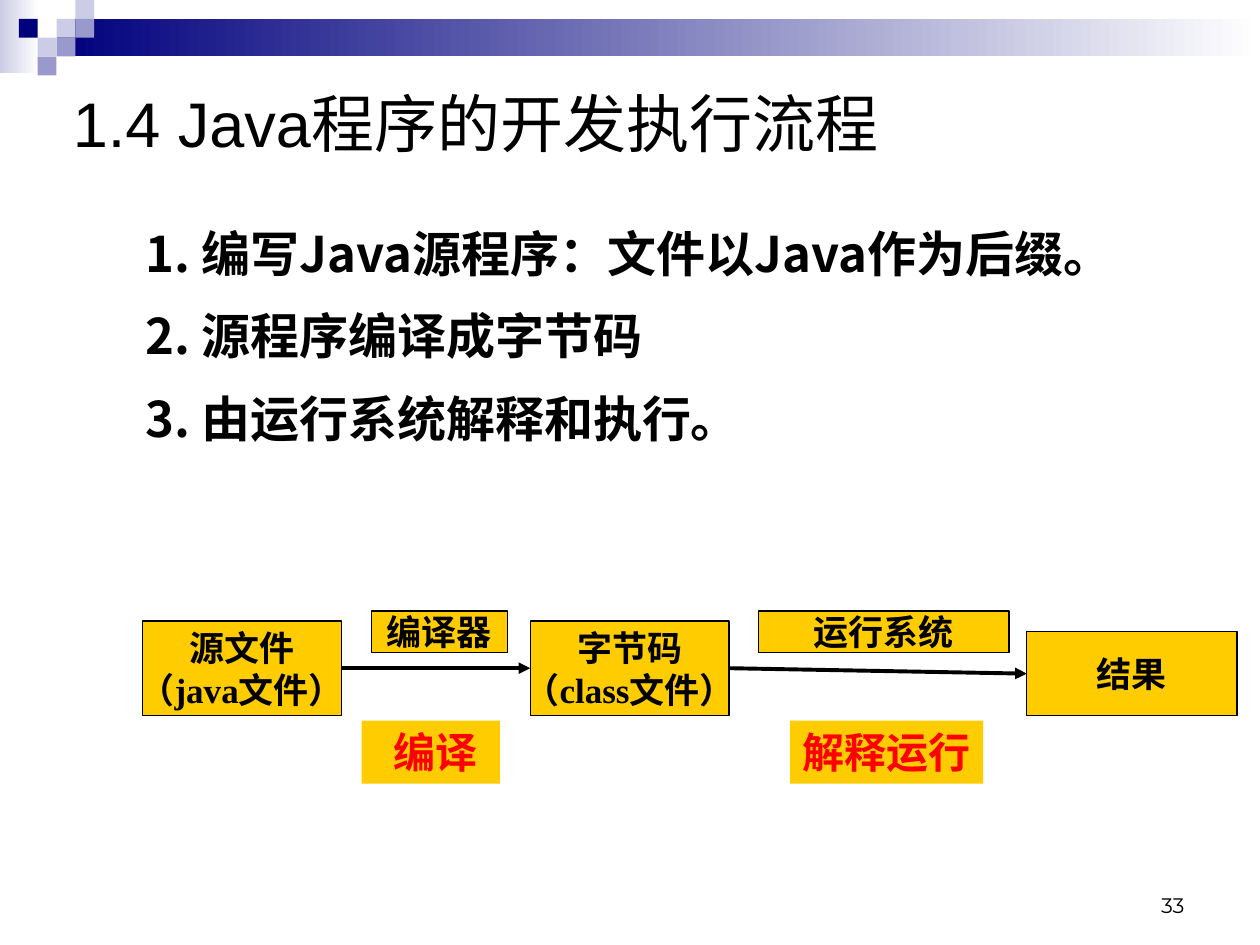
from lxml.etree import SubElement
from pptx import Presentation
from pptx.dml.color import RGBColor
from pptx.enum.shapes import MSO_CONNECTOR, MSO_SHAPE
from pptx.enum.text import MSO_ANCHOR, PP_ALIGN
from pptx.oxml.ns import qn
from pptx.util import Cm, Pt

COLORS = {
    "navy": "00007D", "violet": "9999CC", "lavender": "CCCCE6", "white": "FFFFFF",
    "gold": "FFCC00", "black": "000000", "red": "FF0000",
}
SERIF, CJK = "Times New Roman", "Noto Sans CJK SC"
TILE = 0.38  # side of one square in the header mosaic, cm
RIGHT_SIDE, LEFT_SIDE = 3, 1


def rgb(name):
    return RGBColor.from_string(COLORS[name])


def add_block(slide, box, color, fade_to=None, outlined=False):
    """Rectangle in one colour, or fading from left to right."""
    block = slide.shapes.add_shape(MSO_SHAPE.RECTANGLE, *map(Cm, box))
    block.shadow.inherit = False
    if fade_to:
        block.fill.gradient()
        block.fill.gradient_angle = 0
        for stop, shade in zip(block.fill.gradient_stops, (color, fade_to)):
            stop.color.rgb = rgb(shade)
    else:
        block.fill.solid()
        block.fill.fore_color.rgb = rgb(color)
    if outlined:
        block.line.color.rgb = rgb("black")
        block.line.width = Pt(0.75)
    else:
        block.line.fill.background()
    return block


def write(shape, lines, size, font=SERIF, color="black", bold=False, wrap=True,
          align=PP_ALIGN.LEFT, anchor=MSO_ANCHOR.TOP, indent=0, spacing=None):
    """Fill a shape; each line is a list of (text, font) runs or a plain string."""
    frame = shape.text_frame
    frame.word_wrap = wrap
    frame.vertical_anchor = anchor
    for number, line in enumerate(lines):
        paragraph = frame.paragraphs[0] if number == 0 else frame.add_paragraph()
        paragraph.alignment = align
        if spacing:
            paragraph.line_spacing = spacing
        if indent:
            properties = paragraph._p.get_or_add_pPr()
            properties.set("marL", "0")
            properties.set("indent", str(Cm(indent)))
        for text, face in [(line, font)] if isinstance(line, str) else line:
            run = paragraph.add_run()
            run.text = text
            run.font.name = face
            run.font.size = Pt(size)
            run.font.bold = bold
            run.font.color.rgb = rgb(color)
            SubElement(run._r.get_or_add_rPr(), qn("a:ea"), typeface=CJK)


def add_text(slide, box, lines, size, **style):
    write(slide.shapes.add_textbox(*map(Cm, box)), lines, size, **style)


def add_stage(slide, box, lines, font=SERIF):
    """Outlined box of the flow with centred text."""
    stage = add_block(slide, box, "gold", outlined=True)
    write(stage, lines, 20, font=font, bold=True, wrap=False,
          align=PP_ALIGN.CENTER, anchor=MSO_ANCHOR.MIDDLE)
    return stage


def add_action(slide, box, text, indent=0):
    """Red label under an arrow."""
    label = add_block(slide, box, "gold")
    write(label, [text], 24, color="red", bold=True, wrap=False, indent=indent)


def add_arrow(slide, source, target):
    arrow = slide.shapes.add_connector(MSO_CONNECTOR.STRAIGHT, 0, 0, 0, 0)
    arrow.begin_connect(source, RIGHT_SIDE)
    arrow.end_connect(target, LEFT_SIDE)
    arrow.line.color.rgb = rgb("black")
    arrow.line.width = Pt(2.25)
    SubElement(arrow.line._get_or_add_ln(), qn("a:tailEnd"), type="triangle")
    SubElement(arrow._element.spPr, qn("a:effectLst"))


def add_header(slide):
    add_block(slide, (0, 0, 0.79, 1.47), "lavender", fade_to="white")
    add_block(slide, (3 * TILE, TILE, 24.26, 2 * TILE), "navy", fade_to="white")
    # Mosaic squares as (column, row, colour)
    for column, row, color in [
        (3, 1, "lavender"), (4, 0, "lavender"), (4, 1, "violet"), (2, 2, "lavender"),
        (1, 1, "navy"), (3, 2, "violet"), (2, 3, "violet"),
    ]:
        add_block(slide, (column * TILE, row * TILE, TILE, TILE), color)


def add_flow(slide):
    # Stages from source file to result
    source = add_stage(slide, (2.87, 12.52, 4.01, 1.9), ["源文件", "（java文件）"])
    bytecode = add_stage(
        slide, (10.69, 12.52, 4.01, 1.9),
        ["字节码", [("（", "Cabin"), ("class", SERIF), ("文件）", "Cabin")]], font="Cabin")
    result = add_stage(slide, (20.7, 12.73, 4.24, 1.7), ["结果"])
    add_arrow(slide, source, bytecode)
    add_arrow(slide, bytecode, result)

    # Tools above the arrows, actions below
    add_stage(slide, (7.49, 12.32, 2.74, 0.84), ["编译器"])
    add_stage(slide, (15.29, 12.32, 5.05, 0.84), ["运行系统"])
    add_action(slide, (7.29, 14.53, 2.79, 1.27), "编译", indent=0.4)
    add_action(slide, (15.93, 14.53, 3.89, 1.27), "解释运行")


def main():
    deck = Presentation()
    deck.slide_width, deck.slide_height = Cm(25.4), Cm(19.05)
    slide = deck.slides.add_slide(deck.slide_layouts[6])

    add_header(slide)
    # Title, steps and page number
    add_text(slide, (1.22, 1.57, 21.59, 1.78), ["1.4 Java程序的开发执行流程"], 36,
             font="Arial", anchor=MSO_ANCHOR.MIDDLE)
    steps = [
        "1. 编写Java源程序：文件以Java作为后缀。",
        "2. 源程序编译成字节码",
        "3. 由运行系统解释和执行。",
    ]
    add_text(slide, (2.24, 3.91, 20.96, 6.65), steps, 28, font=CJK, bold=True,
             indent=0.45, spacing=1.4)
    add_text(slide, (18.21, 17.35, 5.92, 1.27), ["33"], 12, font="Montserrat",
             align=PP_ALIGN.RIGHT, anchor=MSO_ANCHOR.BOTTOM)
    add_flow(slide)
    deck.save("out.pptx")


if __name__ == "__main__":
    main()
